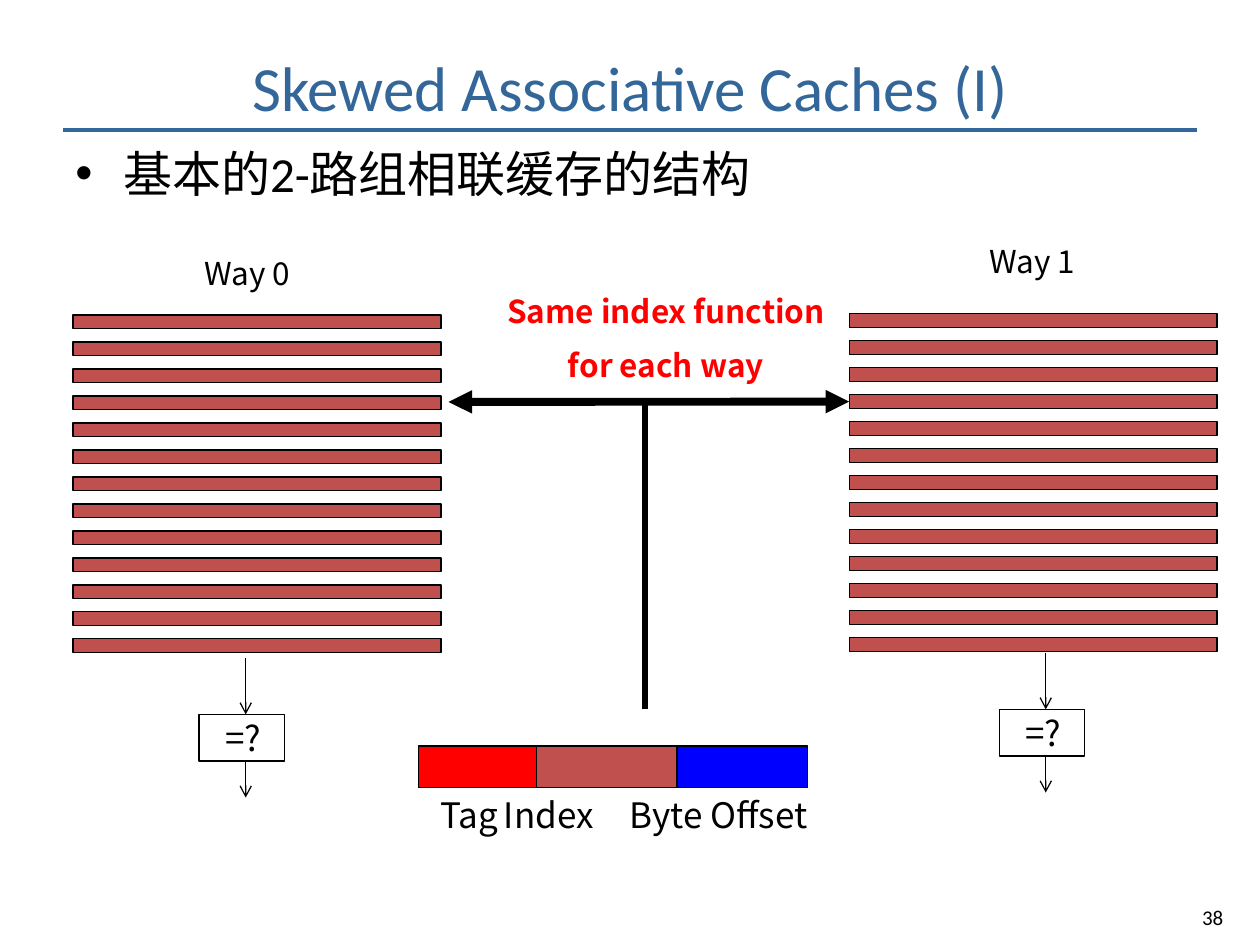
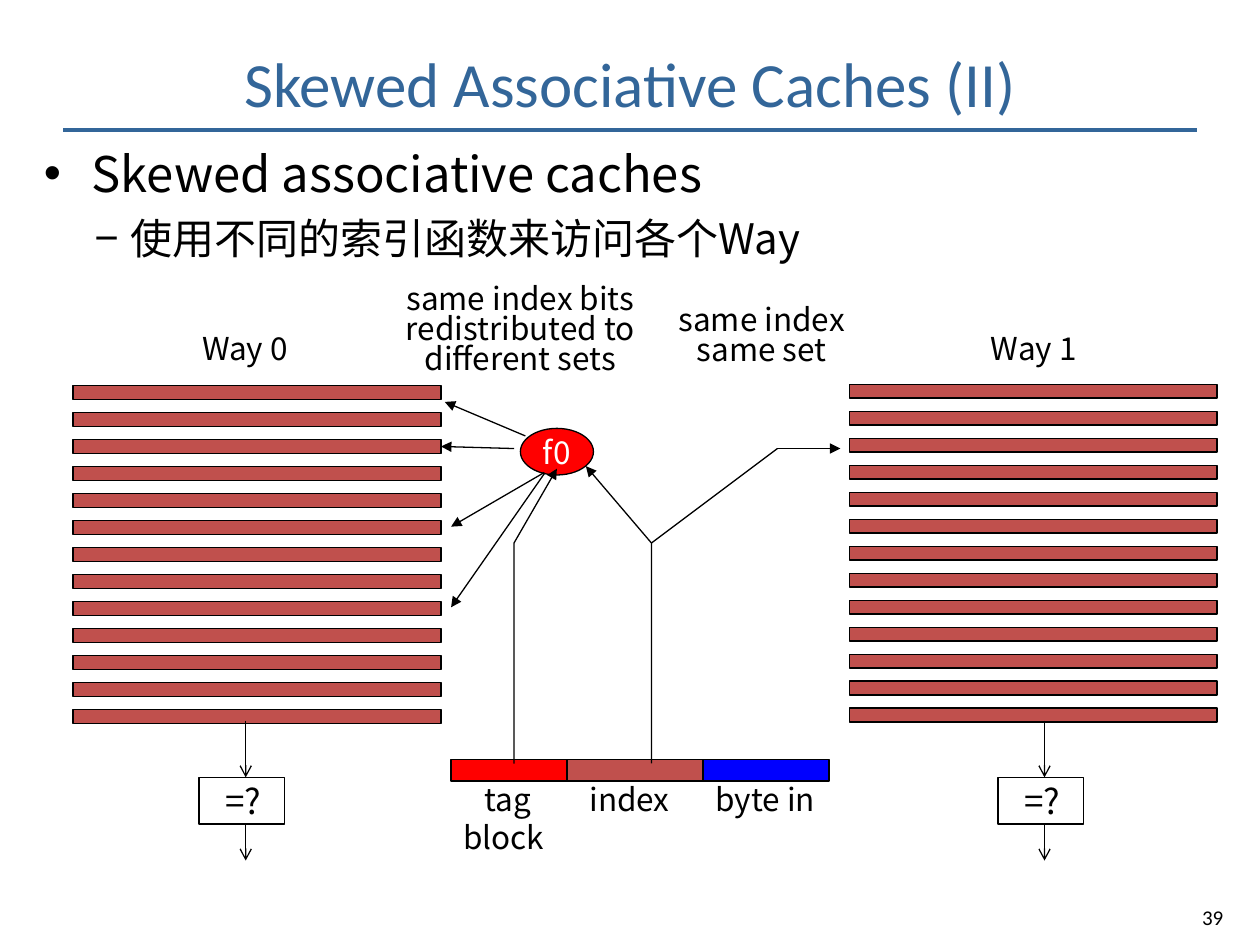
import pptx
import pptx.util
import pptx.dml.color
import pptx.enum.shapes
import pptx.enum.text
import pptx.oxml.ns
from lxml import etree

Inches = pptx.util.Inches
Pt = pptx.util.Pt
RGBColor = pptx.dml.color.RGBColor
MSO_SHAPE = pptx.enum.shapes.MSO_SHAPE
PP_ALIGN = pptx.enum.text.PP_ALIGN
MSO_ANCHOR = pptx.enum.text.MSO_ANCHOR
qn = pptx.oxml.ns.qn

TITLE_BLUE = RGBColor(0x33, 0x66, 0x99)
BRICK = RGBColor(0xC0, 0x50, 0x4D)
RED = RGBColor(0xFF, 0x00, 0x00)
BLUE = RGBColor(0x00, 0x00, 0xFF)
BLACK = RGBColor(0x00, 0x00, 0x00)
WHITE = RGBColor(0xFF, 0xFF, 0xFF)
LATIN, CJK = "Calibri", "Noto Sans CJK SC"

BAR_COUNT, BAR_W, BAR_H = 13, 2.92, 0.11
BAR_PITCH = 2.57 / 12
CHECK_W, CHECK_H = 0.68, 0.37


def add_text(s, box, lines, size, font=CJK, color=BLACK, align=PP_ALIGN.LEFT,
             anchor=MSO_ANCHOR.TOP, wrap=True, bold=False):
    tf = s.shapes.add_textbox(*[Inches(v) for v in box]).text_frame
    tf.word_wrap = wrap
    tf.vertical_anchor = anchor
    for i, line in enumerate(lines):
        p = tf.paragraphs[0] if i == 0 else tf.add_paragraph()
        p.text = line
        p.alignment = align
        for r in p.runs:
            r.font.size = Pt(size)
            r.font.name = font
            r.font.bold = bold
            r.font.color.rgb = color
            etree.SubElement(r.font._element, qn("a:ea"), typeface=CJK)
    return tf


def add_line(s, points, width=0.75, color=BLACK, head=None, tail=None):
    points = [(Inches(x), Inches(y)) for x, y in points]
    if len(points) == 2:
        sp = s.shapes.add_connector(pptx.enum.shapes.MSO_CONNECTOR.STRAIGHT,
                                    *points[0], *points[1])
    else:
        builder = s.shapes.build_freeform(*points[0])
        builder.add_line_segments(points[1:], close=False)
        sp = builder.convert_to_shape()
        sp.fill.background()
    sp.line.color.rgb = color
    sp.line.width = Pt(width)
    spPr = sp._element.spPr
    ln = spPr.find(qn("a:ln"))
    for tag, kind in (("a:headEnd", head), ("a:tailEnd", tail)):
        if kind:
            etree.SubElement(ln, qn(tag), type=kind)
    etree.SubElement(spPr, qn("a:effectLst"))
    return sp


prs = pptx.Presentation()
prs.slide_width, prs.slide_height = Inches(10), Inches(7.5)

# What differs between the two slides
SLIDES = [
    {
        "number": "38", "title": "Skewed Associative Caches (I)", "title_top": 0.25,
        "body": (0.5, 1.09, 9, 5.68),
        "bullets": [("基本的2-路组相联缓存的结构", 28, LATIN)],
        "ways": [("Way 0", 1.49, 1.97), ("Way 1", 7.72, 1.87)],
        "bars": [(0.58, 2.5), (6.74, 2.49)],
        "checks": [(1.58, 5.67), (7.93, 5.63)],
        "fields": [(3.32, 2.83, RED), (4.26, 1.11, BRICK), (5.38, 1.03, BLUE)],
        "field_top": 5.92, "field_h": 0.33,
        "labels": "Tag\tIndex\tByte Offset", "label_box": (3.4, 6.25, 3.52, 0.44),
        "label_size": 20, "label_indent": 0, "label_tabs": (0.7, 1.67),
    },
    {
        "number": "39", "title": "Skewed Associative Caches (II)", "title_top": 0.22,
        "body": (0.25, 1.09, 9.42, 5.68),
        "bullets": [("Skewed associative caches", 28, CJK),
                    ("使用不同的索引函数来访问各个Way", 24, CJK)],
        "ways": [("Way 0", 1.47, 2.56), ("Way 1", 7.73, 2.56)],
        "bars": [(0.58, 3.06), (6.74, 3.05)],
        "checks": [(1.58, 6.17), (7.92, 6.17)],
        "fields": [(3.58, 2.75, RED), (4.5, 1.08, BRICK), (5.58, 1, BLUE)],
        "field_top": 6.03, "field_h": 0.17,
        "labels": "tag\tindex\tbyte in\vblock", "label_box": (3.58, 6.14, 3.83, 0.71),
        "label_size": 18, "label_indent": 0.17, "label_tabs": (1.11, 2.25),
    },
]
# Bullet levels: character, left margin, indent, space before and after
LEVELS = [("•", 0.38, -0.38, 0, 0), ("−", 0.69, -0.29, 6, 6)]

slides, banks = [], []
for d in SLIDES:
    s = prs.slides.add_slide(prs.slide_layouts[6])
    slides.append(s)

    # Title, rule and page number
    add_line(s, [(0.5, 1.03), (9.5, 1.03)], 2, TITLE_BLUE)
    add_text(s, (0.5, d["title_top"], 9, 0.87), [d["title"]], 36, LATIN, TITLE_BLUE,
             PP_ALIGN.CENTER, MSO_ANCHOR.MIDDLE)
    tf = add_text(s, (9.25, 7.12, 0.75, 0.23), [d["number"]], 12, LATIN,
                  align=PP_ALIGN.CENTER)
    tf.margin_top = tf.margin_bottom = Inches(0.06)

    # Bullets
    tf = add_text(s, d["body"], [b[0] for b in d["bullets"]], 28)
    for p, bullet, level in zip(tf.paragraphs, d["bullets"], LEVELS):
        char, margin, indent, before, after = level
        pPr = p._p.get_or_add_pPr()
        pPr.set("marL", str(Inches(margin)))
        pPr.set("indent", str(Inches(indent)))
        etree.SubElement(pPr, qn("a:buFont"), typeface="Arial")
        etree.SubElement(pPr, qn("a:buChar"), char=char)
        p.space_before, p.space_after = Pt(before), Pt(after)
        for r in p.runs:
            r.font.size, r.font.name = Pt(bullet[1]), bullet[2]

    # Cache ways, address fields and comparators
    groups = [s.shapes.add_group_shape() for _ in d["bars"]]
    boxes = [(g.shapes, x, y + i * BAR_PITCH, BAR_W, BAR_H, BRICK)
             for g, (x, y) in zip(groups, d["bars"]) for i in range(BAR_COUNT)]
    boxes += [(s.shapes, x, d["field_top"], w, d["field_h"], fill)
              for x, w, fill in d["fields"]]
    boxes += [(s.shapes, x, y, CHECK_W, CHECK_H, None) for x, y in d["checks"]]
    for shapes, x, y, w, h, fill in boxes:
        sp = shapes.add_shape(MSO_SHAPE.RECTANGLE, Inches(x), Inches(y), Inches(w), Inches(h))
        sp.shadow.inherit = False
        sp.line.color.rgb = BLACK
        sp.line.width = Pt(0.75)
        if fill is None:
            sp.fill.background()
        else:
            sp.fill.solid()
            sp.fill.fore_color.rgb = fill
    banks.append([list(g.shapes) for g in groups])

    for name, x, y in d["ways"]:
        add_text(s, (x, y, 0.95, 0.4), [name], 18, align=PP_ALIGN.CENTER,
                 anchor=MSO_ANCHOR.MIDDLE, wrap=False)
    for x, y in d["checks"]:
        add_text(s, (x + 0.11, y - 0.03, 0.55, 0.44), ["=?"], 20, wrap=False)
        add_line(s, [(x + 0.37, y - 0.45), (x + 0.37, y)], tail="arrow")
        add_line(s, [(x + 0.37, y + 0.37), (x + 0.37, y + 0.66)], tail="arrow")

    # Field labels
    tf = add_text(s, d["label_box"], [d["labels"]], d["label_size"])
    pPr = tf.paragraphs[0]._p.get_or_add_pPr()
    pPr.set("marL", "0")
    pPr.set("indent", str(Inches(d["label_indent"])))
    tabs = etree.SubElement(pPr, qn("a:tabLst"))
    for pos in d["label_tabs"]:
        etree.SubElement(tabs, qn("a:tab"), pos=str(Inches(pos)), algn="l")

# Slide 1: one index for both ways
s = slides[0]
add_line(s, [(5.12, 5.63), (5.12, 3.17)], 3)
index_arrow = add_line(s, [(3.56, 3.19), (6.74, 3.19)], 4.5, head="triangle", tail="triangle")
index_arrow.end_connect(banks[0][1][3], 1)
tf = add_text(s, (3.88, 2.25, 2.81, 0.86), ["Same index function", "for each way"], 18,
              color=RED, align=PP_ALIGN.CENTER, anchor=MSO_ANCHOR.MIDDLE, wrap=False, bold=True)
tf.paragraphs[1].space_before = Pt(9)

# Slide 2: hash function f0
s = slides[1]
f0 = s.shapes.add_shape(MSO_SHAPE.OVAL, Inches(4.13), Inches(3.4), Inches(0.58), Inches(0.37))
f0.shadow.inherit = False
f0.fill.solid()
f0.fill.fore_color.rgb = RED
f0.line.color.rgb = BLACK
f0.line.width = Pt(0.75)
tf = f0.text_frame
tf.text = "f0"
tf.word_wrap = False
tf.vertical_anchor = MSO_ANCHOR.MIDDLE
p = tf.paragraphs[0]
p.alignment = PP_ALIGN.CENTER
r = p.runs[0]
r.font.size, r.font.name, r.font.color.rgb = Pt(18), CJK, WHITE

# Slide 2: paths from the address to the sets
for points in (
    [(4.32, 3.75), (3.58, 4.18)],
    [(4.17, 3.46), (3.53, 3.19)],
    [(4.32, 3.76), (3.58, 4.82)],
    [(4.08, 6.06), (4.08, 4.31), (4.42, 3.72)],
    [(5.17, 6.06), (5.17, 4.31), (4.65, 3.7)],
    [(6.17, 3.56), (6.67, 3.56)],
):
    add_line(s, points, tail="triangle")
add_line(s, [(5.17, 4.31), (6.17, 3.56)])
set_arrow = add_line(s, [(4.08, 3.56), (3.5, 3.56)], tail="triangle")
set_arrow.end_connect(banks[1][0][2], 3)

# Slide 2: captions
for box, lines in (
    ((3.03, 2.22, 2.2, 0.83), ["same index bits", "redistributed to", "different sets"]),
    ((5.26, 2.39, 1.57, 0.59), ["same index", "same set"]),
):
    tf = add_text(s, box, lines, 18, align=PP_ALIGN.CENTER, wrap=False)
    for p in tf.paragraphs:
        p.line_spacing = 0.8

prs.save("out.pptx")
